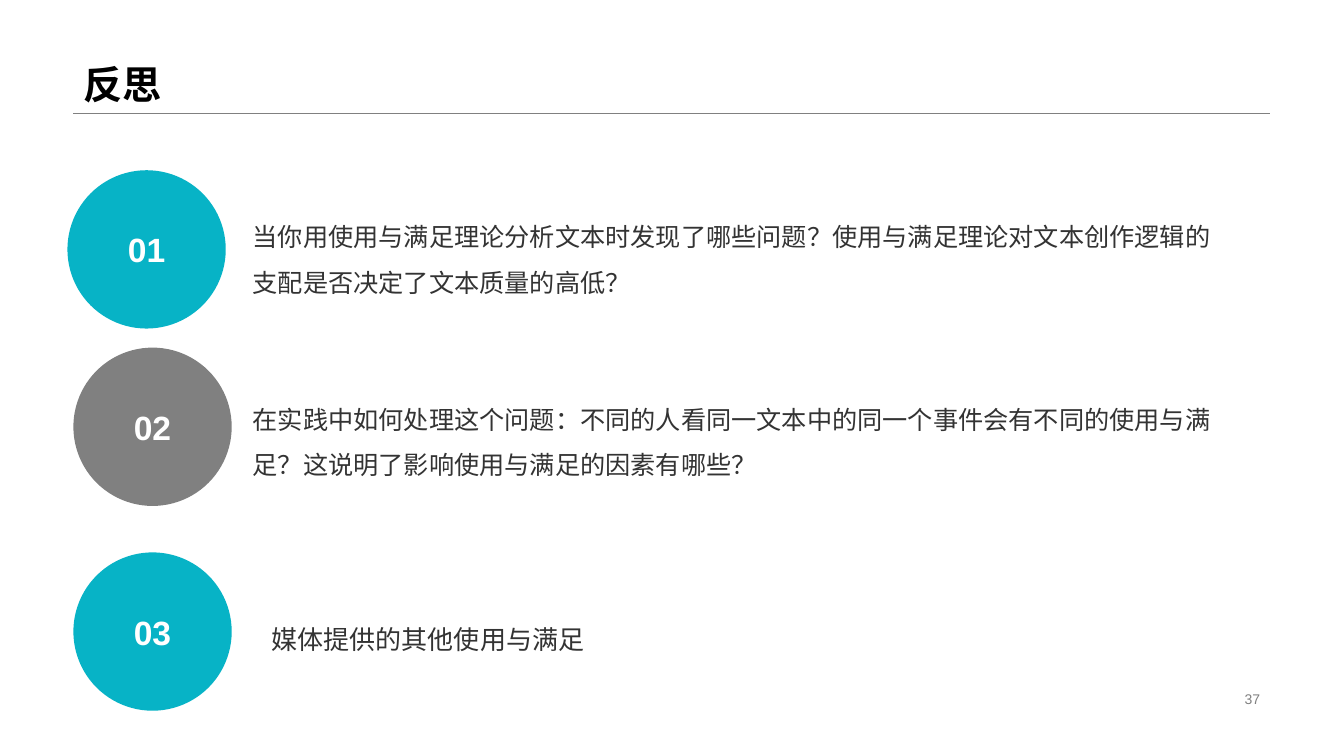
from dataclasses import dataclass

from lxml.etree import SubElement
from pptx import Presentation
from pptx.dml.color import RGBColor
from pptx.enum.shapes import MSO_CONNECTOR, MSO_SHAPE
from pptx.enum.text import MSO_ANCHOR, MSO_AUTO_SIZE, PP_ALIGN
from pptx.oxml.ns import qn
from pptx.util import Cm, Pt


@dataclass(frozen=True)
class Theme:
    """Colours, fonts and type sizes of the deck."""
    accent: str = "07B3C6"
    grey: str = "808080"
    black: str = "000000"
    body: str = "333333"
    white: str = "FFFFFF"
    text_font: str = "Lato"
    number_font: str = "Arial"
    title_size: float = 28
    badge_size: float = 24
    body_size: float = 18
    closing_size: float = 18.6
    page_number_size: float = 10


@dataclass(frozen=True)
class Box:
    """A rectangle measured in centimetres."""
    left: float
    top: float
    width: float
    height: float

    def lengths(self):
        """Return left, top, width and height as lengths."""
        return Cm(self.left), Cm(self.top), Cm(self.width), Cm(self.height)


THEME = Theme()
BADGE = 3.99
HEADER = Box(1.85, 0, 30.15, 2.84)
PAGE_NUMBER = Box(23.93, 17.32, 8.08, 0.58)
QUESTIONS = [
    ("01", "当你用使用与满足理论分析文本时发现了哪些问题？使用与满足理论对文本创作逻辑的支配是否决定了文本质量的高低？",
     THEME.accent, THEME.body_size, Box(1.7, 4.29, 29.62, BADGE), Box(4.42, 0.79, 25.2, 2.41)),
    ("02", "在实践中如何处理这个问题：不同的人看同一文本中的同一个事件会有不同的使用与满足？这说明了影响使用与满足的因素有哪些？",
     THEME.grey, THEME.body_size, Box(1.85, 8.76, 29.47, BADGE), Box(4.27, 0.92, 25.2, 2.41)),
    ("03", "媒体提供的其他使用与满足",
     THEME.accent, THEME.closing_size, Box(1.85, 13.92, 13.49, BADGE), Box(4.75, 1.27, 8.74, 1.47)),
]


def write(shape, text, *, size, color, font=THEME.text_font, bold=False,
          align=PP_ALIGN.LEFT, anchor=MSO_ANCHOR.TOP, spacing=1.0):
    """Write one formatted paragraph into a shape."""
    frame = shape.text_frame
    frame.word_wrap = True
    frame.auto_size = MSO_AUTO_SIZE.NONE
    frame.vertical_anchor = anchor
    para = frame.paragraphs[0]
    para.alignment = align
    para.line_spacing = spacing
    para.space_before = Pt(0)
    span = para.add_run()
    span.text = text
    span.font.size = Pt(size)
    span.font.bold = bold
    span.font.name = font
    span.font.color.rgb = RGBColor.from_string(color)
    SubElement(span.font._element, qn("a:ea")).set("typeface", font)


def add_header(page, box, text):
    """Place the title with a rule along the foot of its box."""
    title = page.shapes.title
    title.left, title.top, title.width, title.height = box.lengths()
    write(title, text, size=THEME.title_size, color=THEME.black, bold=True,
          anchor=MSO_ANCHOR.BOTTOM, spacing=0.9)
    foot = Cm(box.top + box.height)
    rule = page.shapes.add_connector(
        MSO_CONNECTOR.STRAIGHT, Cm(box.left), foot, Cm(box.left + box.width), foot)
    rule.line.color.rgb = RGBColor.from_string(THEME.grey)
    rule.line.width = Pt(0.25)
    SubElement(rule._element.spPr, qn("a:effectLst"))


def add_question(page, box, number, text, color, size, offset):
    """Place a numbered circle and its question within a row box."""
    badge = page.shapes.add_shape(
        MSO_SHAPE.OVAL, *Box(box.left, box.top, box.height, box.height).lengths())
    badge.shadow.inherit = False
    badge.fill.solid()
    badge.fill.fore_color.rgb = RGBColor.from_string(color)
    badge.line.fill.background()
    write(badge, number, size=THEME.badge_size, color=THEME.white, font=THEME.number_font,
          bold=True, align=PP_ALIGN.CENTER, anchor=MSO_ANCHOR.MIDDLE)
    place = Box(box.left + offset.left, box.top + offset.top, offset.width, offset.height)
    question = page.shapes.add_textbox(*place.lengths())
    write(question, text, size=size, color=THEME.body, spacing=1.5)


def add_page_number(page, box, text):
    """Place the page number at the right of its box."""
    label = page.shapes.add_textbox(*box.lengths())
    write(label, text, size=THEME.page_number_size, color=THEME.grey,
          font=THEME.number_font, align=PP_ALIGN.RIGHT, anchor=MSO_ANCHOR.MIDDLE)


def main():
    """Build and save the reflection slide."""
    deck = Presentation()
    deck.slide_width, deck.slide_height = Cm(33.87), Cm(19.05)
    page = deck.slides.add_slide(deck.slide_layouts.get_by_name("Title Only"))
    add_header(page, HEADER, "反思")
    for number, text, color, size, box, offset in QUESTIONS:
        add_question(page, box, number, text, color, size, offset)
    add_page_number(page, PAGE_NUMBER, "37")
    deck.save("out.pptx")


if __name__ == "__main__":
    main()
